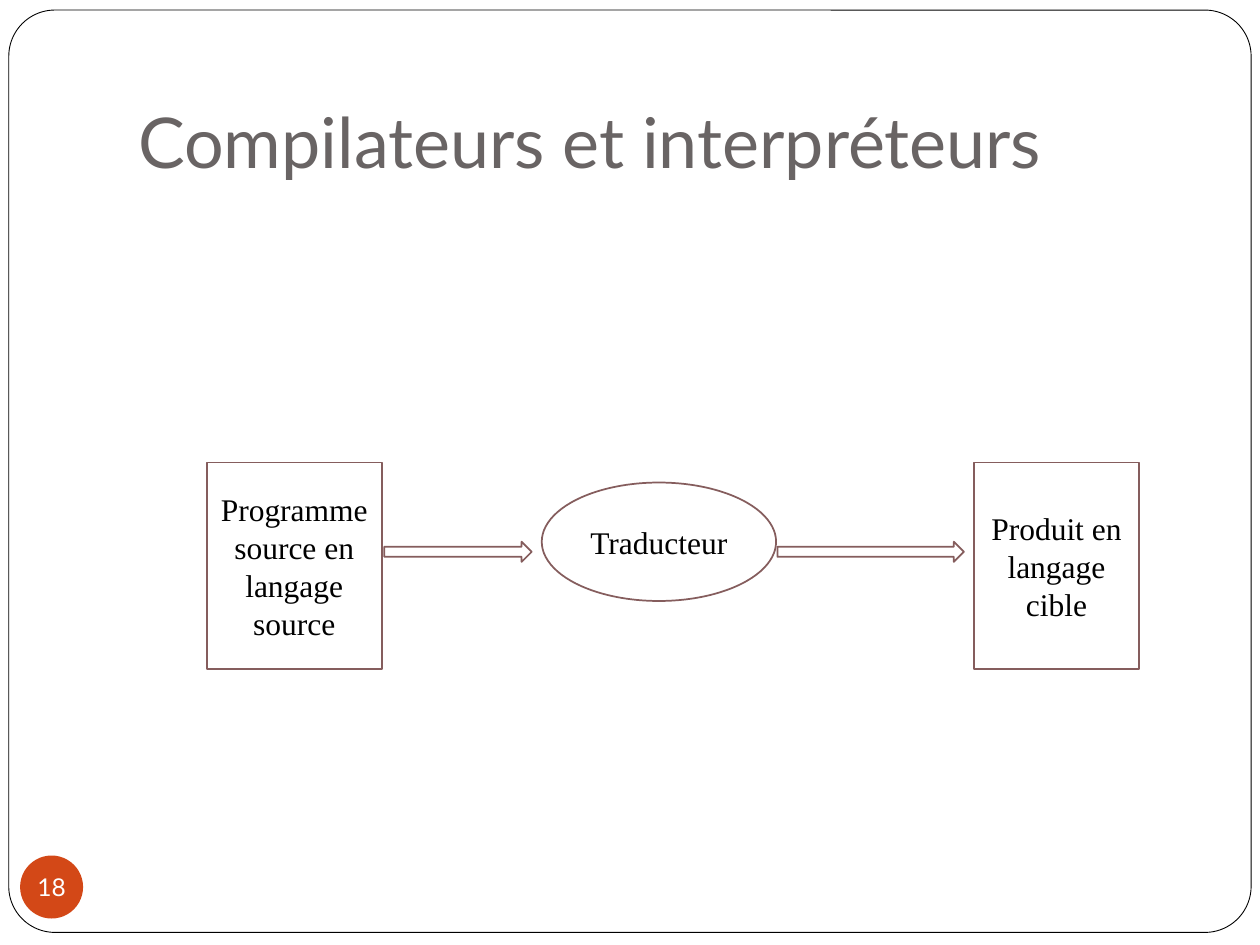
from pptx import Presentation
from pptx import util as u
from pptx.dml.color import RGBColor
from pptx.enum import shapes, text

WHITE = RGBColor(0xFF, 0xFF, 0xFF)
BLACK = RGBColor(0x00, 0x00, 0x00)
GREY = RGBColor(0x69, 0x64, 0x64)
ORANGE = RGBColor(0xD3, 0x48, 0x17)
MAUVE = RGBColor(0x85, 0x5D, 0x5D)
COLUMNS, ROWS = 100, 75
KIND = shapes.MSO_SHAPE


class SlideBuilder:
    """Draws styled elements on one slide, placed on a grid of 100 columns by 75 rows."""

    heading_font = "Lato"
    diagram_font = "Times New Roman"

    def __init__(self, presentation):
        self.width = presentation.slide_width
        self.height = presentation.slide_height
        self.slide = presentation.slides.add_slide(presentation.slide_layouts[6])

    def place(self, left, top, width, height):
        column, row = self.width / COLUMNS, self.height / ROWS
        return [round(n) for n in (left * column, top * row, width * column, height * row)]

    def outline(self, kind, area, fill=WHITE, line=MAUVE, weight=1):
        shape = self.slide.shapes.add_shape(kind, *self.place(*area))
        shape.shadow.inherit = False
        shape.fill.solid()
        shape.fill.fore_color.rgb = fill
        if line is None:
            shape.line.fill.background()
        else:
            shape.line.color.rgb = line
            shape.line.width = u.Pt(weight)
        return shape

    def label(self, shape, words, font, size, color, align=text.PP_ALIGN.CENTER):
        frame = shape.text_frame
        frame.text = words
        frame.word_wrap = True
        frame.vertical_anchor = text.MSO_ANCHOR.MIDDLE
        paragraph = frame.paragraphs[0]
        paragraph.alignment = align
        run_font = paragraph.runs[0].font
        run_font.name, run_font.size = font, u.Pt(size)
        run_font.color.rgb = color
        return frame

    def border(self, area):
        shape = self.outline(KIND.ROUNDED_RECTANGLE, area, line=BLACK, weight=0.5)
        shape.adjustments[0] = 0.05

    def title(self, words, area):
        shape = self.slide.shapes.add_textbox(*self.place(*area))
        frame = self.label(shape, words, self.heading_font, 40, GREY, text.PP_ALIGN.LEFT)
        frame.vertical_anchor = text.MSO_ANCHOR.BOTTOM
        frame.margin_bottom = u.Inches(0.1)

    def page_number(self, number, area):
        shape = self.outline(KIND.OVAL, area, fill=ORANGE, line=None)
        frame = self.label(shape, number, self.heading_font, 14, WHITE)
        frame.word_wrap = False
        frame.margin_left = frame.margin_right = 0
        frame.margin_top = frame.margin_bottom = 0

    def node(self, kind, words, area):
        self.label(self.outline(kind, area), words, self.diagram_font, 18, BLACK)

    def arrow(self, left, width):
        self.outline(KIND.RIGHT_ARROW, (left, 43, width, 1.6))


def main():
    presentation = Presentation()
    presentation.slide_width = u.Inches(10)
    presentation.slide_height = u.Inches(7.5)
    builder = SlideBuilder(presentation)
    builder.border((0.7, 0.8, 98.6, 73.2))
    builder.title("Compilateurs et interpréteurs", (10, 3, 85, 12.5))
    builder.page_number("18", (1.6, 67.9, 5, 5))
    nodes = [
        (KIND.RECTANGLE, "Programme source en langage source", (16.4, 36.7, 13.9, 16.4)),
        (KIND.RECTANGLE, "Produit en langage cible", (77.3, 36.7, 13.1, 16.4)),
        (KIND.OVAL, "Traducteur", (43, 38.3, 18.6, 9.4)),
    ]
    for kind, words, area in nodes:
        builder.node(kind, words, area)
    for left, width in ((30.5, 11.7), (61.7, 14.8)):
        builder.arrow(left, width)
    presentation.save("out.pptx")


if __name__ == "__main__":
    main()
